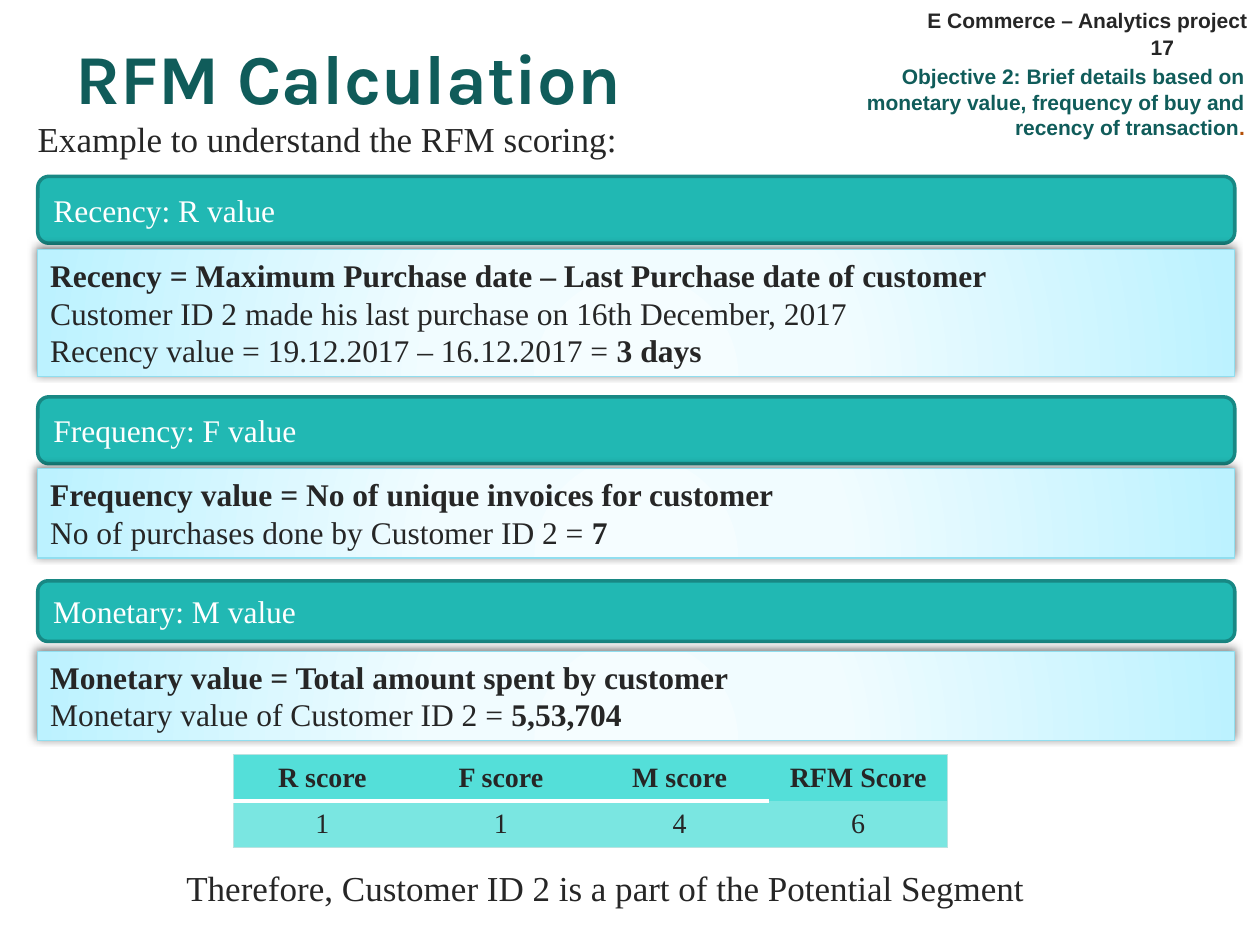
"""Builds the RFM calculation slide with scoring steps and a score table."""
from lxml import etree
from pptx import Presentation
from pptx.dml.color import RGBColor
from pptx.enum.shapes import MSO_SHAPE
from pptx.enum.text import MSO_ANCHOR, PP_ALIGN
from pptx.oxml import parse_xml
from pptx.oxml.ns import nsdecls, qn
from pptx.util import Pt

ROUNDED, RECTANGLE = MSO_SHAPE.ROUNDED_RECTANGLE, MSO_SHAPE.RECTANGLE
TOP, MIDDLE, BOTTOM = MSO_ANCHOR.TOP, MSO_ANCHOR.MIDDLE, MSO_ANCHOR.BOTTOM
LEFT, CENTER, RIGHT = PP_ALIGN.LEFT, PP_ALIGN.CENTER, PP_ALIGN.RIGHT

INK = RGBColor(0x26, 0x26, 0x26)
WHITE = RGBColor(0xFF, 0xFF, 0xFF)
DEEP_TEAL = RGBColor(0x10, 0x5C, 0x5A)
RUST = RGBColor(0xB4, 0x50, 0x07)
TEAL = RGBColor(0x21, 0xB8, 0xB3)
TEAL_EDGE = RGBColor(0x18, 0x88, 0x84)
SKY_EDGE = RGBColor(0x91, 0xDE, 0xEF)
HEAD_FILL = RGBColor(0x54, 0xDF, 0xD9)
SCORE_FILL = RGBColor(0x7A, 0xE6, 0xE1)
TABLE_EDGE = RGBColor(0xBA, 0xE2, 0xE0)

GLOW_STOPS = ((0, "F5FDFF"), (34, "F1FCFF"), (100, "BCF2FF"))
SERIF, SANS, DISPLAY = "Times New Roman", "Arial", "Karla"

STEPS = [
    ("Recency: R value", 100.8, 38.2, 142.6, 72.7, [
        [("Recency = Maximum Purchase date – Last Purchase date of customer", True)],
        [("Customer ID 2 made his last purchase on 16th December, 2017", False)],
        [("Recency value = 19.12.2017 – 16.12.2017 = ", False), ("3 days", True)]]),
    ("Frequency: F value", 226.8, 38.2, 267.8, 51.1, [
        [("Frequency value = No of unique invoices for customer", True)],
        [("No of purchases done by Customer ID 2 = ", False), ("7", True)]]),
    ("Monetary: M value", 331.9, 34.6, 372.2, 51.1, [
        [("Monetary value = Total amount spent by customer", True)],
        [("Monetary value of Customer ID 2 = ", False), ("5,53,704", True)]]),
]
SCORES = [["R score", "F score", "M score", "RFM Score"], ["1", "1", "4", "6"]]


def write(paragraph, text, *, size=18, font=SERIF, color=INK, bold=False, align=LEFT):
    """Add a formatted run to a paragraph."""
    paragraph.alignment = align
    run = paragraph.add_run()
    run.text = text
    run.font.size = Pt(size)
    run.font.name = font
    run.font.color.rgb = color
    run.font.bold = bold


class SlideBuilder:
    """Holds the current slide and the style of its elements."""

    panel_left, panel_width = 21.6, 684

    def __init__(self, slide):
        self.slide = slide

    def title(self, text, left, top, width, height):
        """Move and format the title placeholder."""
        title = self.slide.shapes.title
        title.left, title.top, title.width, title.height = map(Pt, (left, top, width, height))
        frame = title.text_frame
        frame.vertical_anchor = MIDDLE
        frame.margin_left = frame.margin_right = 0
        heading = frame.paragraphs[0]
        write(heading, text, size=40, font=DISPLAY, color=DEEP_TEAL, bold=True)
        heading._p.get_or_add_pPr().set("marL", str(Pt(14.4)))

    def label(self, text, left, top, width, height, anchor=TOP, bottom_inset=3.6, **style):
        """Add a wrapped text box and return its paragraph."""
        box = self.slide.shapes.add_textbox(*map(Pt, (left, top, width, height)))
        frame = box.text_frame
        frame.word_wrap = True
        frame.vertical_anchor = anchor
        frame.margin_bottom = Pt(bottom_inset)
        write(frame.paragraphs[0], text, **style)
        return frame.paragraphs[0]

    def panel(self, kind, top, height, edge, edge_width, anchor):
        """Add a full-width outlined shape."""
        panel = self.slide.shapes.add_shape(
            kind, *map(Pt, (self.panel_left, top, self.panel_width, height)))
        panel.line.color.rgb = edge
        panel.line.width = Pt(edge_width)
        panel.text_frame.word_wrap = True
        panel.text_frame.vertical_anchor = anchor
        return panel

    def banner(self, text, top, height):
        """Add the teal heading of a step."""
        banner = self.panel(ROUNDED, top, height, TEAL_EDGE, 2, MIDDLE)
        banner.shadow.inherit = False
        banner.fill.solid()
        banner.fill.fore_color.rgb = TEAL
        write(banner.text_frame.paragraphs[0], text, color=WHITE)

    def detail(self, lines, top, height):
        """Add the glowing, shadowed explanation of a step."""
        detail = self.panel(RECTANGLE, top, height, SKY_EDGE, 0.75, TOP)
        stops = "".join(f'<a:gs pos="{at * 1000}"><a:srgbClr val="{color}"/></a:gs>'
                        for at, color in GLOW_STOPS)
        glow = parse_xml(
            f'<a:gradFill {nsdecls("a")} rotWithShape="1"><a:gsLst>{stops}</a:gsLst>'
            '<a:path path="circle"><a:fillToRect l="110000" t="250000" r="110000" b="40000"/>'
            '</a:path></a:gradFill>')
        shadow = parse_xml(
            f'<a:effectLst {nsdecls("a")}><a:outerShdw blurRad="{Pt(5)}" dist="{Pt(2)}" '
            f'dir="{245 * 60000}" rotWithShape="0"><a:srgbClr val="000000">'
            '<a:alpha val="50000"/></a:srgbClr></a:outerShdw></a:effectLst>')
        outline = detail._element.spPr.find(qn("a:ln"))
        outline.addprevious(glow)
        outline.addnext(shadow)
        frame = detail.text_frame
        for index, runs in enumerate(lines):
            paragraph = frame.add_paragraph() if index else frame.paragraphs[0]
            for text, bold in runs:
                write(paragraph, text, bold=bold)

    def borders(self, cell, edges):
        """Draw the given cell edges and clear the others."""
        properties = cell._tc.get_or_add_tcPr()
        for index, side in enumerate(("lnL", "lnR", "lnT", "lnB")):
            color, width = edges.get(side, (None, 0))
            line = etree.Element(qn(f"a:{side}"), w=str(Pt(width)))
            if color is None:
                etree.SubElement(line, qn("a:noFill"))
            else:
                paint = etree.SubElement(line, qn("a:solidFill"))
                etree.SubElement(paint, qn("a:srgbClr"), val=str(color))
            properties.insert(index, line)

    def score_table(self, rows, left, top, width, height):
        """Add the score table with an outer frame and a header rule."""
        last = len(rows[0]) - 1
        table = self.slide.shapes.add_table(
            len(rows), last + 1, *map(Pt, (left, top, width, height))).table
        frame_edge, header_rule = (TABLE_EDGE, 0.75), (WHITE, 3)
        for r, row in enumerate(rows):
            for c, text in enumerate(row):
                cell = table.cell(r, c)
                cell.vertical_anchor = MIDDLE
                cell.fill.solid()
                cell.fill.fore_color.rgb = SCORE_FILL if r else HEAD_FILL
                write(cell.text_frame.paragraphs[0], text, size=16, bold=r == 0, align=CENTER)
                edges = {"lnB" if r else "lnT": frame_edge}
                if c < last:
                    edges["lnT" if r else "lnB"] = header_rule
                if c == 0:
                    edges["lnL"] = frame_edge
                if c == last:
                    edges["lnR"] = frame_edge
                self.borders(cell, edges)


def main():
    """Build and save the slide."""
    deck = Presentation()
    deck.slide_width, deck.slide_height = Pt(720), Pt(540)
    builder = SlideBuilder(deck.slides.add_slide(deck.slide_layouts[5]))
    note = dict(size=12, font=SANS, bold=True)

    builder.title("RFM Calculation", 28.8, 12.2, 383.8, 62.6)
    builder.label("E Commerce – Analytics project", 422.6, 13.7, 297.4, 8.6,
                  anchor=BOTTOM, align=RIGHT, **note)
    objective = builder.label(
        "Objective 2: Brief details based on monetary value, frequency of buy and "
        "recency of transaction", 455, 73.4, 263.5, 23.8, anchor=BOTTOM,
        bottom_inset=17.5, color=DEEP_TEAL, align=RIGHT, **note)
    write(objective, ".", color=RUST, align=RIGHT, **note)
    builder.label("Example to understand the RFM scoring:", 14.4, 63.4, 697, 38.2, size=20)

    for heading, banner_top, banner_height, detail_top, detail_height, lines in STEPS:
        builder.banner(heading, banner_top, banner_height)
        builder.detail(lines, detail_top, detail_height)

    builder.score_table(SCORES, 133.2, 431.3, 408.2, 52.6)
    builder.label("Therefore, Customer ID 2 is a part of the Potential Segment",
                  99.4, 491.8, 499, 31.7, size=20)
    builder.label("17", 644.4, 13.7, 39.6, 23.8, anchor=BOTTOM, align=CENTER, **note)
    deck.save("out.pptx")


if __name__ == "__main__":
    main()
